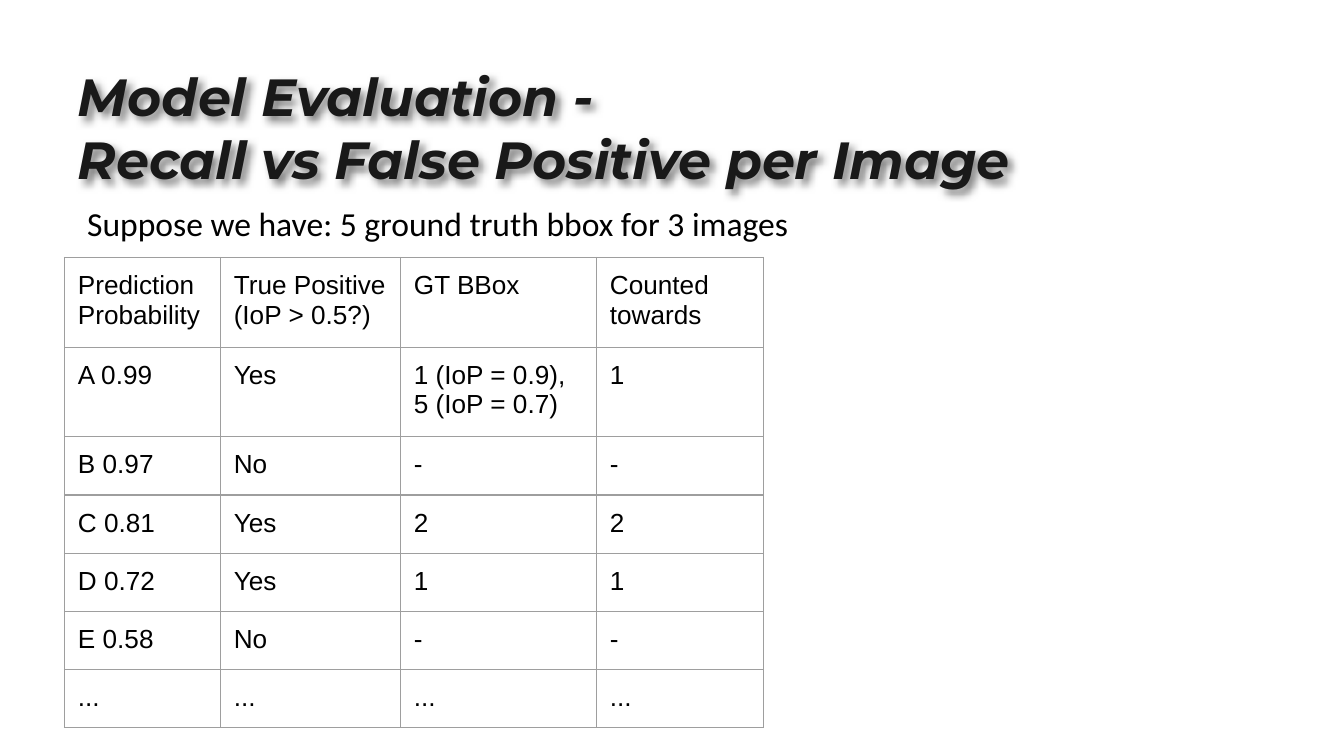
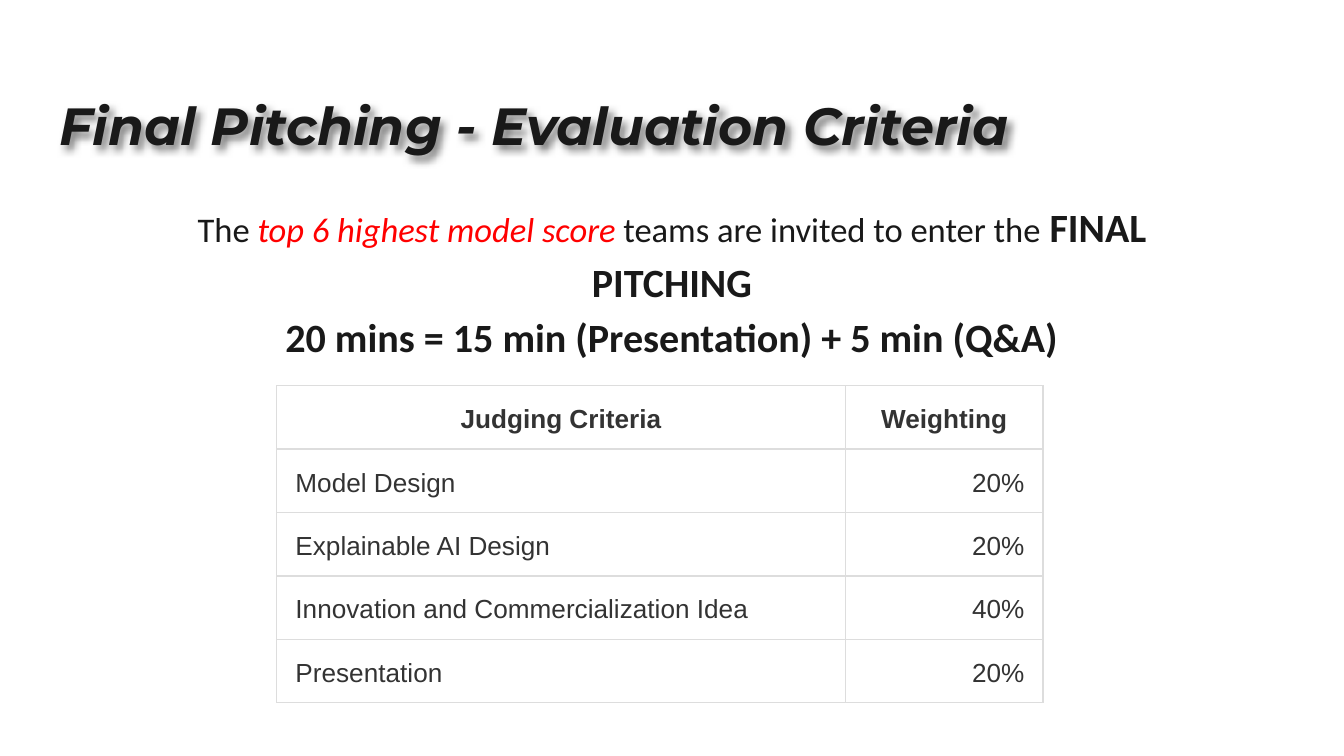
from lxml.etree import SubElement
from pptx import Presentation
from pptx.dml.color import RGBColor
from pptx.enum.text import MSO_ANCHOR, MSO_AUTO_SIZE, PP_ALIGN
from pptx.oxml import parse_xml
from pptx.oxml.ns import nsdecls, qn
from pptx.util import Pt

COLORS = {
    "black": "000000",
    "title": "191919",
    "accent": "FF0000",
    "criteria": "333333",
    "white": "FFFFFF",
    "grid": "9E9E9E",
    "light_grid": "DDDDDD",
}
LEFT, CENTER, RIGHT = PP_ALIGN.LEFT, PP_ALIGN.CENTER, PP_ALIGN.RIGHT


class SlideBuilder:
    def __init__(self):
        self.deck = Presentation()
        self.deck.slide_width, self.deck.slide_height = Pt(720), Pt(405)
        self.page = None

    def add_page(self, title, left, top):
        self.page = self.deck.slides.add_slide(self.deck.slide_layouts[5])
        fill = self.page.background.fill
        fill.solid()
        fill.fore_color.rgb = RGBColor.from_string(COLORS["white"])
        box = self.page.shapes.title
        self.place(box, left, top, 650, 74)
        box.text_frame.text = title
        for para in box.text_frame.paragraphs:
            para.alignment = LEFT
            for span in para.runs:
                self.style(span, "Montserrat", 28, "title", True, True)
        box._element.spPr.append(parse_xml(
            f'<a:effectLst {nsdecls("a")}><a:outerShdw blurRad="{Pt(4.5)}" '
            f'dist="{Pt(3)}" dir="3000000" algn="bl" rotWithShape="0">'
            f'<a:srgbClr val="{COLORS["black"]}"><a:alpha val="50000"/>'
            '</a:srgbClr></a:outerShdw></a:effectLst>'))

    def place(self, box, left, top, width, height):
        box.left, box.top = Pt(left), Pt(top)
        box.width, box.height = Pt(width), Pt(height)
        frame = box.text_frame
        frame.word_wrap = True
        frame.auto_size = MSO_AUTO_SIZE.NONE
        frame.vertical_anchor = MSO_ANCHOR.TOP
        self.pad(frame, 7.2, 7.2)

    def pad(self, target, side, end):
        target.margin_left = target.margin_right = Pt(side)
        target.margin_top = target.margin_bottom = Pt(end)

    def style(self, span, font, size, color, bold=False, italic=False):
        span.font.name, span.font.size = font, Pt(size)
        span.font.bold, span.font.italic = bold, italic
        span.font.color.rgb = RGBColor.from_string(COLORS[color])

    def add_text(self, paragraphs, left, top, width, height, align=LEFT, spacing=1.0):
        box = self.page.shapes.add_textbox(0, 0, 0, 0)
        self.place(box, left, top, width, height)
        frame = box.text_frame
        for index, spans in enumerate(paragraphs):
            para = frame.add_paragraph() if index else frame.paragraphs[0]
            para.alignment, para.line_spacing = align, spacing
            for text, *look in spans:
                span = para.add_run()
                span.text = text
                self.style(span, "Calibri", *look)

    def add_table(self, rows, left, top, widths, heights, border, color,
                  padding=(7.2, 7.2), aligns=None, spacing=1.0,
                  anchor=MSO_ANCHOR.TOP, bold_header=False, fill=None):
        table = self.page.shapes.add_table(
            len(rows), len(widths), Pt(left), Pt(top),
            Pt(sum(widths)), Pt(sum(heights))).table
        table.first_row = table.horz_banding = False
        for column, width in zip(table.columns, widths):
            column.width = Pt(width)
        for row_index, (row, height) in enumerate(zip(rows, heights)):
            table.rows[row_index].height = Pt(height)
            for column_index, text in enumerate(row):
                cell = table.cell(row_index, column_index)
                header = bold_header and row_index == 0
                align = CENTER if header else aligns[column_index] if aligns else LEFT
                cell.text_frame.text = text
                cell.vertical_anchor = anchor
                self.pad(cell, *padding)
                for para in cell.text_frame.paragraphs:
                    para.alignment, para.line_spacing = align, spacing
                    for span in para.runs:
                        self.style(span, "Arial", 14, color, header)
                self.outline(cell, border)
                if fill:
                    cell.fill.solid()
                    cell.fill.fore_color.rgb = RGBColor.from_string(COLORS[fill])
                else:
                    cell.fill.background()

    def outline(self, cell, color):
        properties = cell._tc.get_or_add_tcPr()
        for side in ("L", "R", "T", "B"):
            line = SubElement(properties, qn(f"a:ln{side}"), w=str(Pt(0.75)))
            paint = SubElement(line, qn("a:solidFill"))
            SubElement(paint, qn("a:srgbClr"), val=COLORS[color])


def build_recall(builder):
    builder.add_page("Model Evaluation -\nRecall vs False Positive per Image", 34.56, 27.36)
    predictions = [
        ("Prediction Probability", "True Positive\n(IoP > 0.5?)", "GT BBox", "Counted towards"),
        ("A 0.99", "Yes", "1 (IoP = 0.9), 5 (IoP = 0.7)", "1"),
        ("B 0.97", "No", "-", "-"),
        ("C 0.81", "Yes", "2", "2"),
        ("D 0.72", "Yes", "1", "1"),
        ("E 0.58", "No", "-", "-"),
        ("...",) * 4,
    ]
    builder.add_table(predictions, 34.56, 138, (83.5, 96.5, 105, 89.3),
                      [48] * 2 + [31.2] * 5, "grid", "black")
    builder.add_text([[("Suppose we have: 5 ground truth bbox for 3 images", 18, "black")]],
                     39.6, 101.5, 420, 36)


def build_pitching(builder):
    builder.add_page("Final Pitching - Evaluation Criteria", 24.5, 42.5)
    invitation = [
        [("The ", 18.5, "title"),
         ("top 6 highest model score", 18.5, "accent", False, True),
         (" teams are invited to enter the", 18.5, "title"),
         (" FINAL PITCHING", 21.5, "title", True)],
        [("20 mins = 15 min (Presentation) + 5 min (Q&A)", 21.5, "title", True)],
    ]
    builder.add_text(invitation, 71.3, 97.2, 577.4, 44.6, CENTER, 1.15)
    criteria = [
        ("Judging Criteria", "Weighting"),
        ("Model Design", "20%"),
        ("Explainable AI Design", "20%"),
        ("Innovation and Commercialization Idea", "40%"),
        ("Presentation", "20%"),
    ]
    builder.add_table(criteria, 148.3, 206.6, (304.5, 106), [34] * 5,
                      "light_grid", "criteria", padding=(10, 4.5),
                      aligns=(LEFT, RIGHT), spacing=1.15,
                      anchor=MSO_ANCHOR.MIDDLE, bold_header=True, fill="white")


def main():
    builder = SlideBuilder()
    build_recall(builder)
    build_pitching(builder)
    builder.deck.save("out.pptx")


if __name__ == "__main__":
    main()
